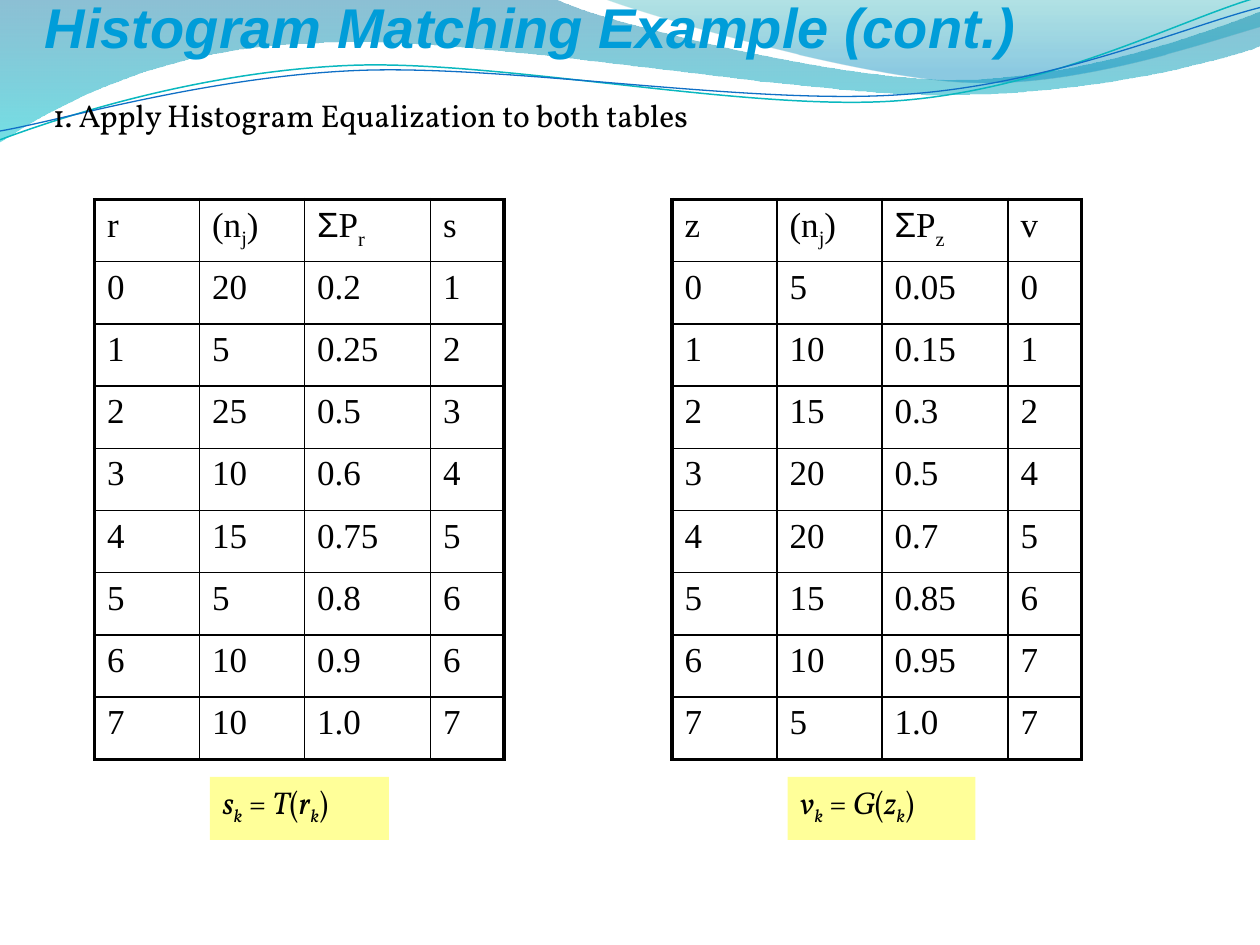
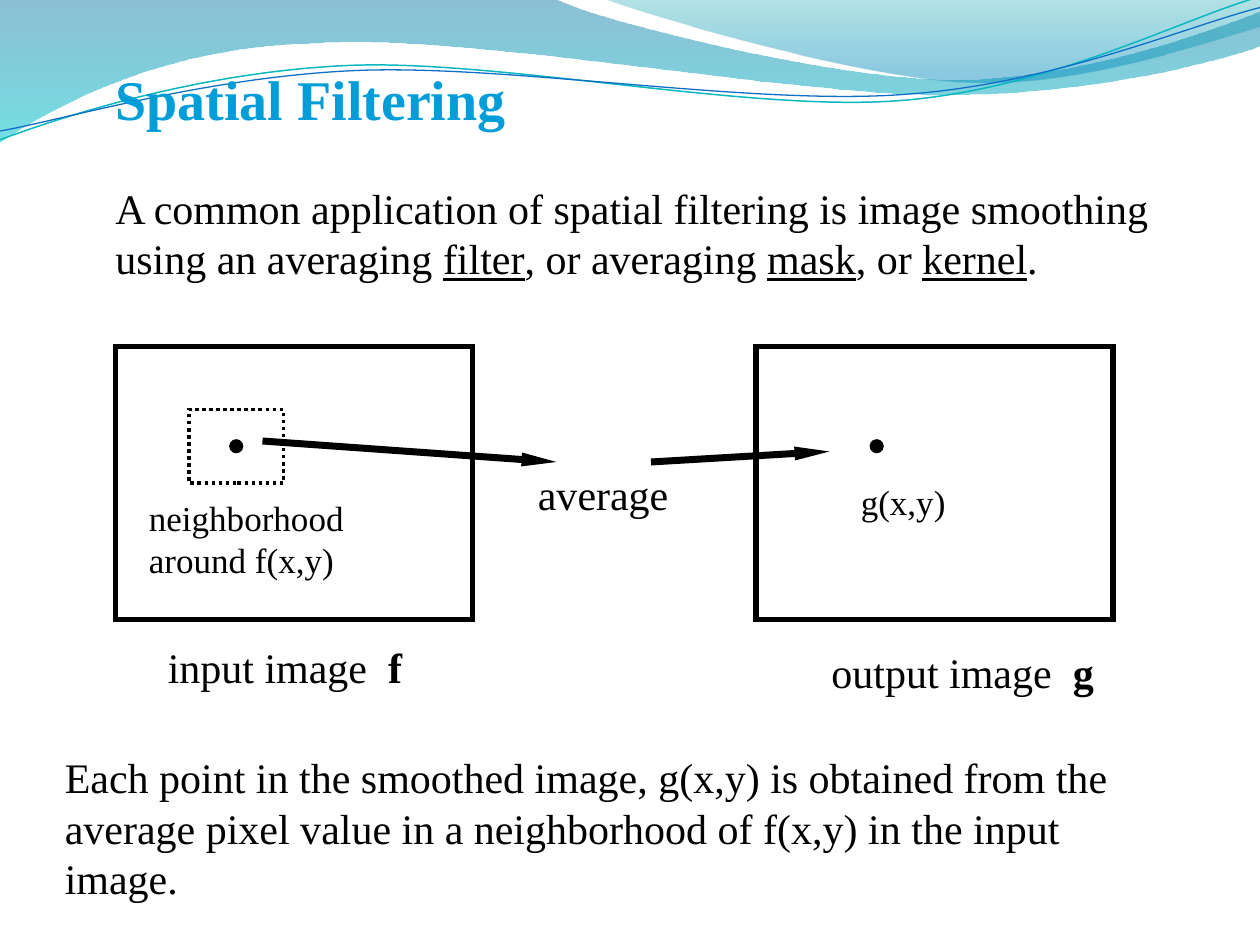
import lxml.etree
import pptx
import pptx.dml.color
import pptx.enum.dml
import pptx.enum.shapes
import pptx.enum.text
import pptx.oxml
import pptx.oxml.ns
import pptx.util

COLS, ROWS = 120, 90
CELL = pptx.util.Inches(10) / COLS
TENTH = COLS / 10

HUE = {
    "title": "009DD9",
    "ink": "000000",
    "note": "FFFF99",
    "deep": "0074A1",
    "aqua": "00C6CF",
    "teal": "00A1A9",
    "sky": "008BBF",
    "line": "0AB8BF",
    "blue": "0F6FC6",
}
SERIF, SANS, BODY = "Times New Roman", "Arial", "Vollkorn"
HEAD = {"font": SANS, "size": 32, "hue": "title", "flags": "bi"}
TOPIC = {"font": SERIF, "size": 32, "hue": "title", "flags": "b"}
STEP = {"font": BODY, "size": 18, "hue": "ink", "flags": ""}
TEXT = {"font": SERIF, "size": 24, "hue": "ink", "flags": ""}
SMALL = {**TEXT, "size": 20}

BANDS = [
    ([[(0, 0)], [(4.4, -0.01)],
      [(4.76, 0.17), (6.64, 0.63), (7.58, 0.63)],
      [(8.53, 0.63), (9.58, 0.26), (10, 0.09)],
      [(10.01, 0.36)],
      [(9.83, 0.44), (8.7, 0.76), (7.46, 0.75)],
      [(6.22, 0.75), (3.82, 0.28), (2.57, 0.34)],
      [(1.29, 0.36), (0.46, 0.83), (-0.01, 1.13)]],
     [(0, "deep", 45), (1, "aqua", 55)]),
    ([[(4.79, -0.01)],
      [(5.09, 0.11), (6.82, 0.62), (7.69, 0.65)],
      [(8.56, 0.69), (9.61, 0.32), (10, 0.21)],
      [(10, 0)]],
     [(0, "teal", 30), (0.8, "sky", 45)]),
]
WIRES = [
    ([[(0, 1.11)],
      [(0.48, 0.93), (1.58, 0.57), (2.77, 0.52)],
      [(3.95, 0.47), (5.93, 0.89), (7.13, 0.8)],
      [(8.33, 0.71), (9.38, 0.15), (9.98, -0.02)]],
     "line", 0.85),
    ([[(0, 1.04)],
      [(0.47, 0.96), (1.64, 0.61), (2.83, 0.56)],
      [(4.03, 0.51), (5.97, 0.84), (7.17, 0.75)],
      [(8.36, 0.67), (9.41, 0.21), (10, 0.06)]],
     "blue", 0.75),
]


def grid(*cells):
    return [round(cell * CELL) for cell in cells]


def within(box, left, top, *size):
    return (box[0] + left, box[1] + top, *size)


def tint(name):
    return pptx.dml.color.RGBColor.from_string(HUE[name])


def add_tag(parent, tag, **attrs):
    node = lxml.etree.SubElement(parent, pptx.oxml.ns.qn(tag))
    for key, value in attrs.items():
        node.set(key, str(value))
    return node


def fill_line(para, parts, look):
    for part in parts:
        words, extra = (part, "") if isinstance(part, str) else part
        flags = look["flags"] + extra
        run = para.add_run()
        run.text = words
        font = run.font
        font.name = SANS if "a" in flags else look["font"]
        font.size = pptx.util.Pt(look["size"])
        font.color.rgb = tint(look["hue"])
        font.bold = "b" in flags
        font.italic = "i" in flags
        font.underline = "u" in flags
        if "s" in flags:
            run._r.get_or_add_rPr().set("baseline", "-25000")


def add_text(slide, box, lines, wrap=False, gap=0, center=False):
    shape = slide.shapes.add_textbox(*grid(*box))
    frame = shape.text_frame
    frame.word_wrap = wrap
    for index, (parts, look) in enumerate(lines):
        para = frame.add_paragraph() if index else frame.paragraphs[0]
        if index and gap:
            para.space_before = pptx.util.Pt(gap)
        if center:
            para.alignment = pptx.enum.text.PP_ALIGN.CENTER
        fill_line(para, parts, look)
    return shape


def add_curve(slide, box, parts, close):
    points = [grid(*within(box, x * TENTH, y * TENTH))
              for part in parts for x, y in part]
    form = slide.shapes.build_freeform(*points[0])
    form.add_line_segments(points[1:], close=close)
    shape = form.convert_to_shape()
    shape.shadow.inherit = False
    lines = iter(list(shape._element.iter(pptx.oxml.ns.qn("a:lnTo"))))
    for part in parts[1:]:
        nodes = [next(lines) for _ in part]
        if len(nodes) == 3:
            curve = lxml.etree.Element(pptx.oxml.ns.qn("a:cubicBezTo"))
            nodes[0].addprevious(curve)
            for node in nodes:
                curve.append(node[0])
                node.getparent().remove(node)
    return shape


def add_waves(slide, box):
    for parts, stops in BANDS:
        shape = add_curve(slide, box, parts, True)
        shape.line.fill.background()
        shape.fill.gradient()
        shape.fill.gradient_angle = 270
        for stop, (place, name, _) in zip(shape.fill.gradient_stops, stops):
            stop.position = place
            stop.color.rgb = tint(name)
        shades = shape._element.spPr.iter(pptx.oxml.ns.qn("a:srgbClr"))
        for shade, (_, _, alpha) in zip(shades, stops):
            add_tag(shade, "a:alpha", val=alpha * 1000)
    for parts, name, width in WIRES:
        shape = add_curve(slide, box, parts, False)
        shape.fill.background()
        shape.line.color.rgb = tint(name)
        shape.line.width = pptx.util.Pt(width)


def edge_cell(cell, edges):
    props = cell._tc.get_or_add_tcPr()
    for index, (side, outer) in enumerate(edges):
        width = pptx.util.Pt(2.25 if outer else 1)
        line = add_tag(props, "a:ln" + side, w=width)
        fill = add_tag(line, "a:solidFill")
        add_tag(fill, "a:srgbClr", val=HUE["ink"])
        props.insert(index, line)


def add_panel(slide, box, names, counts, sums, levels, rule):
    level, mapped = names
    heads = [[level], ["(n", ("j", "s"), ")"],
             [("Σ", "a"), "P", (level, "s")], [mapped]]
    rows = [heads] + [[[str(value)] for value in row] for row in
                      zip(range(len(counts)), counts, sums, levels)]
    wide = (10, 10, 12, 7)
    table = slide.shapes.add_table(
        len(rows), len(wide), *grid(*box)).table
    table.first_row = table.horz_banding = False
    for column, width in zip(table.columns, wide):
        column.width = grid(width)[0]
    for y, row in enumerate(rows):
        table.rows[y].height = grid(box[3] / len(rows))[0]
        for x, parts in enumerate(row):
            cell = table.cell(y, x)
            cell.fill.background()
            fill_line(cell.text_frame.paragraphs[0], parts, SMALL)
            edge_cell(cell, [("L", x == 0), ("R", x == len(wide) - 1),
                             ("T", y == 0), ("B", y == len(rows) - 1)])
    func, width = rule
    parts = [(mapped, "i"), ("k", "is"), " = ", (func, "i"), "(",
             (level, "i"), ("k", "is"), ")"]
    note = add_text(slide, within(box, 11, 55, width, 6), [(parts, STEP)])
    note.fill.solid()
    note.fill.fore_color.rgb = tint("note")


def add_shape(slide, box, kind, width, solid=False):
    shape = slide.shapes.add_shape(kind, *grid(*box))
    shape.shadow.inherit = False
    if solid:
        shape.fill.solid()
        shape.fill.fore_color.rgb = tint("ink")
    else:
        shape.fill.background()
    shape.line.color.rgb = tint("ink")
    shape.line.width = pptx.util.Pt(width)
    add_tag(shape.line._get_or_add_ln(), "a:miter", lim=800000)
    return shape


def add_arrow(slide, box, start, end):
    link = slide.shapes.add_connector(
        pptx.enum.shapes.MSO_CONNECTOR.STRAIGHT,
        *grid(*within(box, *start), *within(box, *end)))
    link.line.color.rgb = tint("ink")
    link.line.width = pptx.util.Pt(4)
    add_tag(link.line._get_or_add_ln(), "a:tailEnd",
            type="triangle", w="sm", len="lg")
    add_tag(link._element.spPr, "a:effectLst")


def add_scheme(slide, box):
    kinds = pptx.enum.shapes.MSO_SHAPE
    for left, dot in ((0, 11), (61, 72)):
        add_shape(slide, within(box, left, 0, 34, 26), kinds.RECTANGLE, 3)
        add_shape(slide, within(box, dot, 9, 1, 1), kinds.OVAL, 2, True)
    near = add_shape(slide, within(box, 7, 6, 9, 7), kinds.RECTANGLE, 2)
    near.line.dash_style = pptx.enum.dml.MSO_LINE.ROUND_DOT
    add_arrow(slide, box, (14, 9), (42, 11))
    add_arrow(slide, box, (51, 11), (68, 10))
    add_text(slide, within(box, 39, 11, 14.9, 6),
             [(["average"], TEXT)], center=True)
    add_text(slide, within(box, 69.8, 12.2, 10.8, 5.1),
             [(["g(x,y)"], SMALL)])
    add_text(slide, within(box, 2, 13.65, 22, 9.3),
             [(["neighborhood"], SMALL), (["around f(x,y)"], SMALL)])
    add_text(slide, within(box, 3.8, 27.55, 25.5, 6),
             [(["input image  ", ("f", "b")], TEXT)])
    add_text(slide, within(box, 67, 28, 28.5, 6),
             [(["output image  ", ("g", "b")], TEXT)])


def match_slide(slide, box):
    add_waves(slide, box)
    add_text(slide, within(box, 3.1, -1.3, 97, 7.7),
             [(["Histogram Matching Example (cont.)"], HEAD)])
    add_text(slide, within(box, 3.85, 8.57, 78, 6),
             [(["1. Apply Histogram Equalization to both tables"], STEP)])
    add_panel(slide, within(box, 9, 19, 39, 53.33), "rs",
              [20, 5, 25, 10, 15, 5, 10, 10],
              [0.2, 0.25, 0.5, 0.6, 0.75, 0.8, 0.9, 1.0],
              [1, 2, 3, 4, 5, 6, 6, 7], ("T", 17.05))
    add_panel(slide, within(box, 64, 19, 39, 53.33), "zv",
              [5, 10, 15, 20, 20, 15, 10, 5],
              [0.05, 0.15, 0.3, 0.5, 0.7, 0.85, 0.95, 1.0],
              [0, 1, 2, 4, 5, 6, 7, 7], ("G", 17.9))


def filter_slide(slide, box):
    add_waves(slide, box)
    add_scheme(slide, within(box, 11, 33))
    intro = ["A common application of spatial filtering is image smoothing "
             "using an averaging ", ("filter", "u"), ", or averaging ",
             ("mask", "u"), ", or ", ("kernel", "u"), "."]
    add_text(slide, within(box, 9.8, 5.57, 105.3, 22),
             [(["Spatial Filtering"], TOPIC), (intro, TEXT)],
             wrap=True, gap=28.8)
    add_text(slide, within(box, 5, 71, 107.1, 15.6),
             [(["Each point in the smoothed image, g(x,y) is obtained from "
                "the average pixel value in a neighborhood of f(x,y) in the "
                "input image."], TEXT)], wrap=True)


def main():
    deck = pptx.Presentation()
    deck.slide_width, deck.slide_height = grid(COLS, ROWS)
    for build in (match_slide, filter_slide):
        slide = deck.slides.add_slide(deck.slide_layouts[6])
        build(slide, (0, 0, COLS, ROWS))
    deck.save("out.pptx")


if __name__ == "__main__":
    main()
